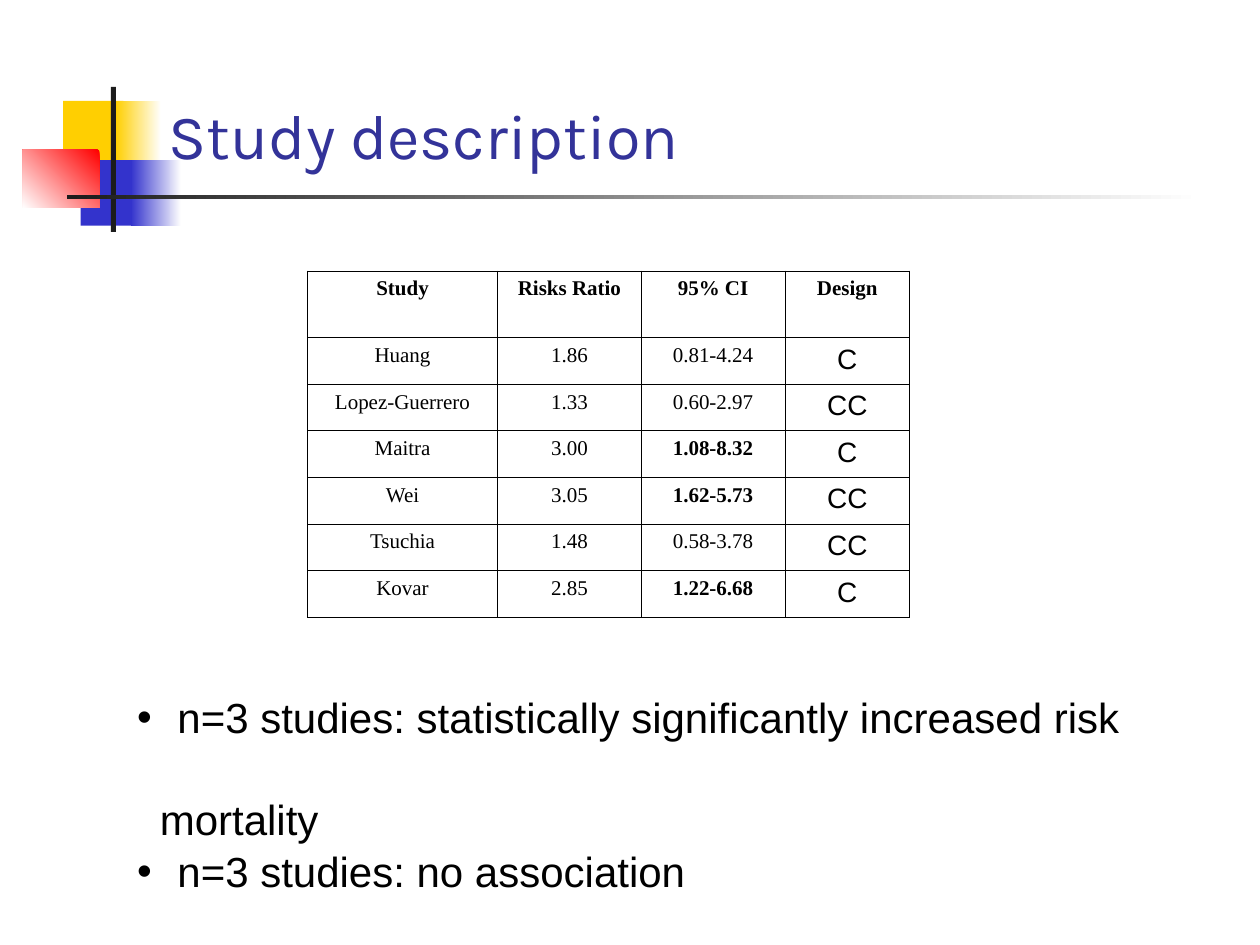
from lxml.etree import SubElement
from pptx import Presentation
from pptx.dml.color import RGBColor
from pptx.enum.shapes import MSO_SHAPE
from pptx.enum.text import MSO_ANCHOR, PP_ALIGN
from pptx.oxml.ns import qn
from pptx.util import Inches, Pt

COLORS = {
    "yellow": "FFCF01", "blue": "3333CC", "red": "FF0000", "dark": "1C1C1C",
    "white": "FFFFFF", "black": "000000", "title": "333399",
}

# Left, top, width, height, gradient colours (one means solid), angle
DECORATIONS = [
    (0.5, 0.8, 0.48, 0.52, ["yellow"], 0),
    (0.92, 0.8, 0.36, 0.52, ["white", "yellow"], 180),
    (0.64, 1.27, 0.46, 0.52, ["blue"], 0),
    (1.04, 1.27, 0.4, 0.52, ["white", "blue"], 180),
    (0.18, 1.19, 0.61, 0.46, ["red", "white"], 225),
    (0.88, 0.69, 0.04, 1.15, ["dark"], 0),
    (0.53, 1.55, 9, 0.03, ["white", "dark"], 180),
]

HEADER = ["Study", "Risks Ratio", "95% CI", "Design"]
STUDIES = [
    ["Huang", "1.86", "0.81-4.24", "C"],
    ["Lopez-Guerrero", "1.33", "0.60-2.97", "CC"],
    ["Maitra", "3.00", "1.08-8.32", "C"],
    ["Wei", "3.05", "1.62-5.73", "CC"],
    ["Tsuchia", "1.48", "0.58-3.78", "CC"],
    ["Kovar", "2.85", "1.22-6.68", "C"],
]
COLUMN_WIDTHS = [1.51, 1.14, 1.14, 0.99]
HEADER_HEIGHT, ROW_HEIGHT = 0.53, 0.37

# Text, bulleted, left margin in inches, space after in points
FINDINGS = [
    ("n=3 studies: statistically significantly increased risk", True, 0.32, 29.5),
    ("mortality", False, 0.18, 1),
    ("n=3 studies: no association", True, 0.32, 0),
]


def rgb(name):
    return RGBColor.from_string(COLORS[name])


def format_font(font, color="black", **values):
    for name, value in values.items():
        setattr(font, name, value)
    font.color.rgb = rgb(color)


def add_block(page, left, top, width, height, colors, angle):
    block = page.shapes.add_shape(
        MSO_SHAPE.RECTANGLE, *map(Inches, (left, top, width, height)))
    block.shadow.inherit = False
    block.line.fill.background()
    if len(colors) == 1:
        block.fill.solid()
        block.fill.fore_color.rgb = rgb(colors[0])
        return
    block.fill.gradient()
    block.fill.gradient_angle = angle
    for stop, color in zip(block.fill.gradient_stops, colors):
        stop.color.rgb = rgb(color)


def format_title(page, text):
    title = page.shapes.title
    box = {"left": 1.24, "top": 0.18, "width": 8.52, "height": 1.24}
    for name, value in box.items():
        setattr(title, name, Inches(value))
    frame = title.text_frame
    frame.text = text
    frame.vertical_anchor = MSO_ANCHOR.BOTTOM
    para = frame.paragraphs[0]
    para.alignment = PP_ALIGN.LEFT
    format_font(para.runs[0].font, "title", name="Karla", size=Pt(36))
    # Bring the title in front of the decorations
    page.shapes[-1]._element.addnext(title._element)


def add_borders(cell):
    properties = cell._tc.get_or_add_tcPr()
    for position, side in enumerate(("lnL", "lnR", "lnT", "lnB")):
        line = SubElement(properties, qn(f"a:{side}"), w=str(Pt(0.45)))
        fill = SubElement(line, qn("a:solidFill"))
        SubElement(fill, qn("a:srgbClr"), val=COLORS["black"])
        properties.insert(position, line)


def fill_cell(cell, text, **font):
    cell.fill.background()
    add_borders(cell)
    cell.text = text
    para = cell.text_frame.paragraphs[0]
    para.alignment = PP_ALIGN.CENTER
    format_font(para.runs[0].font, **font)


def add_study_table(page):
    rows = [HEADER] + STUDIES
    heights = [HEADER_HEIGHT] + [ROW_HEIGHT] * len(STUDIES)
    table = page.shapes.add_table(
        len(rows), len(HEADER), Inches(2.44), Inches(2.15),
        Inches(sum(COLUMN_WIDTHS)), Inches(sum(heights))).table
    for column, width in zip(table.columns, COLUMN_WIDTHS):
        column.width = Inches(width)
    for row, height in zip(table.rows, heights):
        row.height = Inches(height)
    for r, values in enumerate(rows):
        # An interval whose lower limit is above 1 is significant
        significant = r > 0 and float(values[2].split("-")[0]) > 1
        for c, text in enumerate(values):
            is_design = r > 0 and c == 3
            fill_cell(table.cell(r, c), text,
                      name="Arial" if is_design else "Times New Roman",
                      size=Pt(16 if is_design else 12),
                      bold=r == 0 or (c == 2 and significant))


def add_bullet(para, indent):
    properties = para._p.get_or_add_pPr()
    properties.set("indent", str(-Inches(indent)))
    color = SubElement(properties, qn("a:buClr"))
    SubElement(color, qn("a:srgbClr"), val=COLORS["black"])
    SubElement(properties, qn("a:buFont"), typeface="Arial")
    SubElement(properties, qn("a:buChar"), char="•")


def add_findings(page):
    box = page.shapes.add_textbox(
        Inches(0.99), Inches(5.44), Inches(8.23), Inches(1.3))
    frame = box.text_frame
    frame.word_wrap = True
    for index, (text, bulleted, margin, after) in enumerate(FINDINGS):
        para = frame.add_paragraph() if index else frame.paragraphs[0]
        para.space_after = Pt(after)
        para._p.get_or_add_pPr().set("marL", str(Inches(margin)))
        if bulleted:
            add_bullet(para, margin)
        span = para.add_run()
        span.text = text
        format_font(span.font, name="Arial", size=Pt(24))


def main():
    deck = Presentation()
    deck.slide_width, deck.slide_height = Inches(10), Inches(7.5)
    page = deck.slides.add_slide(deck.slide_layouts[5])
    for decoration in DECORATIONS:
        add_block(page, *decoration)
    format_title(page, "Study description")
    add_study_table(page)
    add_findings(page)
    deck.save("out.pptx")


if __name__ == "__main__":
    main()
